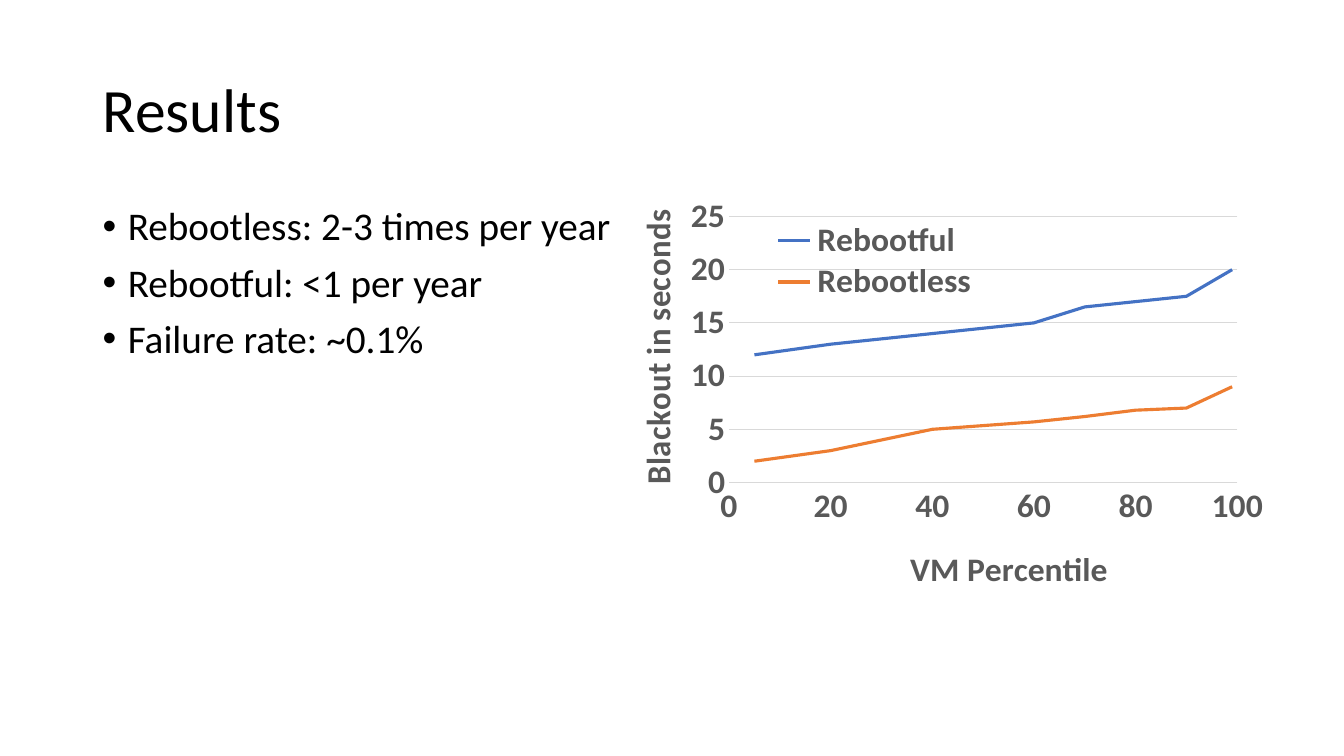
from lxml import etree
from pptx import Presentation
from pptx.chart.data import XyChartData
from pptx.dml.color import RGBColor
from pptx.enum.chart import XL_CHART_TYPE, XL_LEGEND_POSITION, XL_TICK_MARK
from pptx.enum.text import MSO_ANCHOR, MSO_AUTO_SIZE, PP_ALIGN
from pptx.oxml.ns import qn
from pptx.util import Inches, Pt

SMOOTH_SCATTER = XL_CHART_TYPE.XY_SCATTER_SMOOTH_NO_MARKERS
LEGEND_RIGHT = XL_LEGEND_POSITION.RIGHT
NO_TICKS = XL_TICK_MARK.NONE
MIDDLE, TOP = MSO_ANCHOR.MIDDLE, MSO_ANCHOR.TOP
NO_AUTOFIT = MSO_AUTO_SIZE.NONE
LEFT = PP_ALIGN.LEFT

BLACK = RGBColor(0x00, 0x00, 0x00)
GRAY = RGBColor(0x59, 0x59, 0x59)
LIGHT_GRAY = RGBColor(0xD9, 0xD9, 0xD9)
BLUE = RGBColor(0x44, 0x72, 0xC4)
ORANGE = RGBColor(0xED, 0x7D, 0x31)

FONT = "Calibri"
CHART_FONT = {"name": FONT, "size": Pt(24), "bold": True}
WIDTH, HEIGHT = Inches(13.33), Inches(7.5)
TITLE_BOX = (0.069, 0.053, 0.863, 0.193)
BODY_BOX = (0.069, 0.267, 0.863, 0.635)
CHART_BOX = (0.458, 0.247, 0.488, 0.548)

BULLETS = ["Rebootless: 2-3 times per year", "Rebootful: <1 per year", "Failure rate: ~0.1%"]
PERCENTILES = [5, 20, 40, 60, 70, 80, 90, 99]
BLACKOUTS = {
    "Rebootful": (BLUE, [12, 13, 14, 15, 16.5, 17, 17.5, 20]),
    "Rebootless": (ORANGE, [2, 3, 5, 5.7, 6.2, 6.8, 7, 9]),
}


def set_values(target, values):
    """Set each named attribute on the target."""
    for name, value in values.items():
        setattr(target, name, value)


def scale(box):
    """Turn shares of the slide into lengths."""
    return [int(share * side) for share, side in zip(box, (WIDTH, HEIGHT) * 2)]


def style_font(font, values, color):
    """Apply format values and a colour to a font."""
    set_values(font, values)
    font.color.rgb = color


def style_line(line, color, width):
    """Give a line its colour and width in points."""
    line.color.rgb = color
    line.width = Pt(width)


def place_part(part, after, **values):
    """Give a chart part a manual layout behind the named child."""
    for old in part.findall(qn("c:layout")):
        part.remove(old)
    layout = etree.Element(qn("c:layout"))
    manual = etree.SubElement(layout, qn("c:manualLayout"))
    for name, value in values.items():
        etree.SubElement(manual, qn(f"c:{name}")).set("val", str(value))
    position = part.index(part.find(qn(after))) + 1 if after else 0
    part.insert(position, layout)


def add_bullet(paragraph):
    """Give a paragraph a hanging round bullet."""
    properties = paragraph._p.get_or_add_pPr()
    properties.set("marL", str(Inches(0.25)))
    properties.set("indent", str(-Inches(0.25)))
    etree.SubElement(properties, qn("a:buFont")).set("typeface", "Arial")
    etree.SubElement(properties, qn("a:buChar")).set("char", "•")


def fill_text(shape, lines, size, anchor, space):
    """Write left-aligned lines into a shape."""
    frame = shape.text_frame
    set_values(frame, {"word_wrap": True, "auto_size": NO_AUTOFIT, "vertical_anchor": anchor})
    frame.text = "\n".join(lines)
    for paragraph in frame.paragraphs:
        set_values(paragraph, {"alignment": LEFT, "line_spacing": 0.9, "space_before": Pt(space)})
        style_font(paragraph.runs[0].font, {"name": FONT, "size": Pt(size)}, BLACK)


def add_title(slide, box):
    """Place and format the slide title."""
    title = slide.shapes.title
    set_values(title, dict(zip(("left", "top", "width", "height"), scale(box))))
    fill_text(title, ["Results"], 44, MIDDLE, 0)


def add_body(slide, box):
    """Add the bulleted findings."""
    body = slide.shapes.add_textbox(*scale(box))
    fill_text(body, BULLETS, 28, TOP, 10)
    for paragraph in body.text_frame.paragraphs:
        add_bullet(paragraph)


def format_axis(axis, title, maximum, step, x, y):
    """Format an axis and place its title."""
    set_values(axis, {"minimum_scale": 0, "maximum_scale": maximum, "major_unit": step,
                      "major_tick_mark": NO_TICKS, "minor_tick_mark": NO_TICKS})
    style_font(axis.tick_labels.font, CHART_FONT, GRAY)
    axis.tick_labels.number_format = "General"
    axis.tick_labels.number_format_is_linked = False
    frame = axis.axis_title.text_frame
    frame.text = title
    style_font(frame.paragraphs[0].runs[0].font, CHART_FONT, GRAY)
    place_part(axis.axis_title._element, "c:tx", xMode="edge", yMode="edge", x=x, y=y)


def add_blackout_chart(slide, box):
    """Add the smooth chart of blackout time by percentile."""
    data = XyChartData()
    for name, (_, values) in BLACKOUTS.items():
        series = data.add_series(name)
        for point in zip(PERCENTILES, values):
            series.add_data_point(*point)
    chart = slide.shapes.add_chart(SMOOTH_SCATTER, *scale(box), data).chart
    set_values(chart, {"has_title": False, "has_legend": True})
    style_font(chart.font, {"name": FONT, "size": Pt(10)}, BLACK)
    plot = chart.plots[0]
    plot.vary_by_categories = False
    for series in plot.series:
        series.smooth = True
        style_line(series.format.line, BLACKOUTS[series.name][0], 2.25)

    format_axis(chart.category_axis, "VM Percentile", 100, 20, 0.44, 0.88)
    format_axis(chart.value_axis, "Blackout in seconds", 25, 5, 0.02, 0.06)
    chart.category_axis.has_major_gridlines = False
    style_line(chart.category_axis.format.line, LIGHT_GRAY, 0.75)
    chart.value_axis.format.line.fill.background()
    style_line(chart.value_axis.major_gridlines.format.line, LIGHT_GRAY, 0.75)

    legend = chart.legend
    set_values(legend, {"position": LEGEND_RIGHT, "include_in_layout": True})
    style_font(legend.font, CHART_FONT, GRAY)
    place_part(legend._element, "c:legendPos", xMode="edge", yMode="edge",
               x=0.23, y=0.08, w=0.33, h=0.21)
    place_part(chart._chartSpace.chart.plotArea, None, layoutTarget="inner",
               xMode="edge", yMode="edge", x=0.173, y=0.074, w=0.775, h=0.66)


def build_results_slide(presentation):
    """Build the results slide."""
    slide = presentation.slides.add_slide(presentation.slide_layouts[5])
    add_title(slide, TITLE_BOX)
    add_body(slide, BODY_BOX)
    add_blackout_chart(slide, CHART_BOX)


def main():
    """Create and save the presentation."""
    presentation = Presentation()
    set_values(presentation, {"slide_width": WIDTH, "slide_height": HEIGHT})
    build_results_slide(presentation)
    presentation.save("out.pptx")


main()
